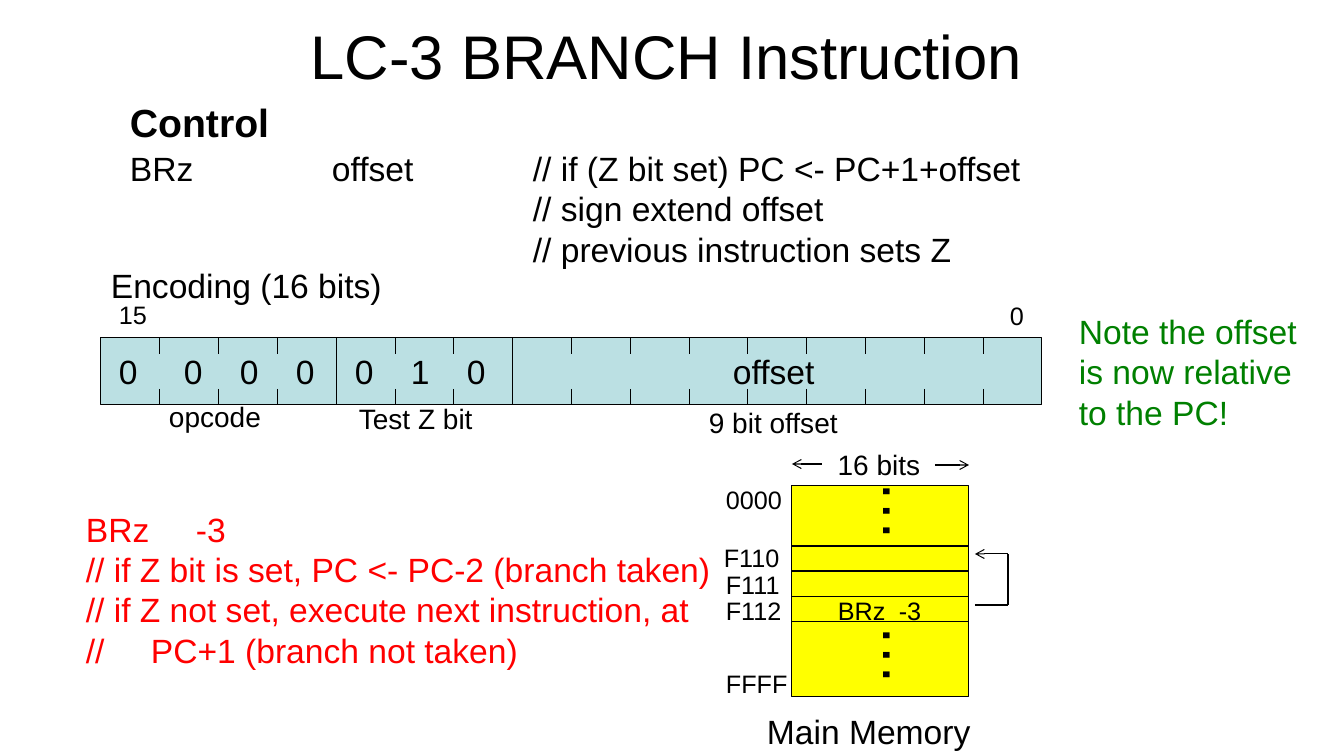
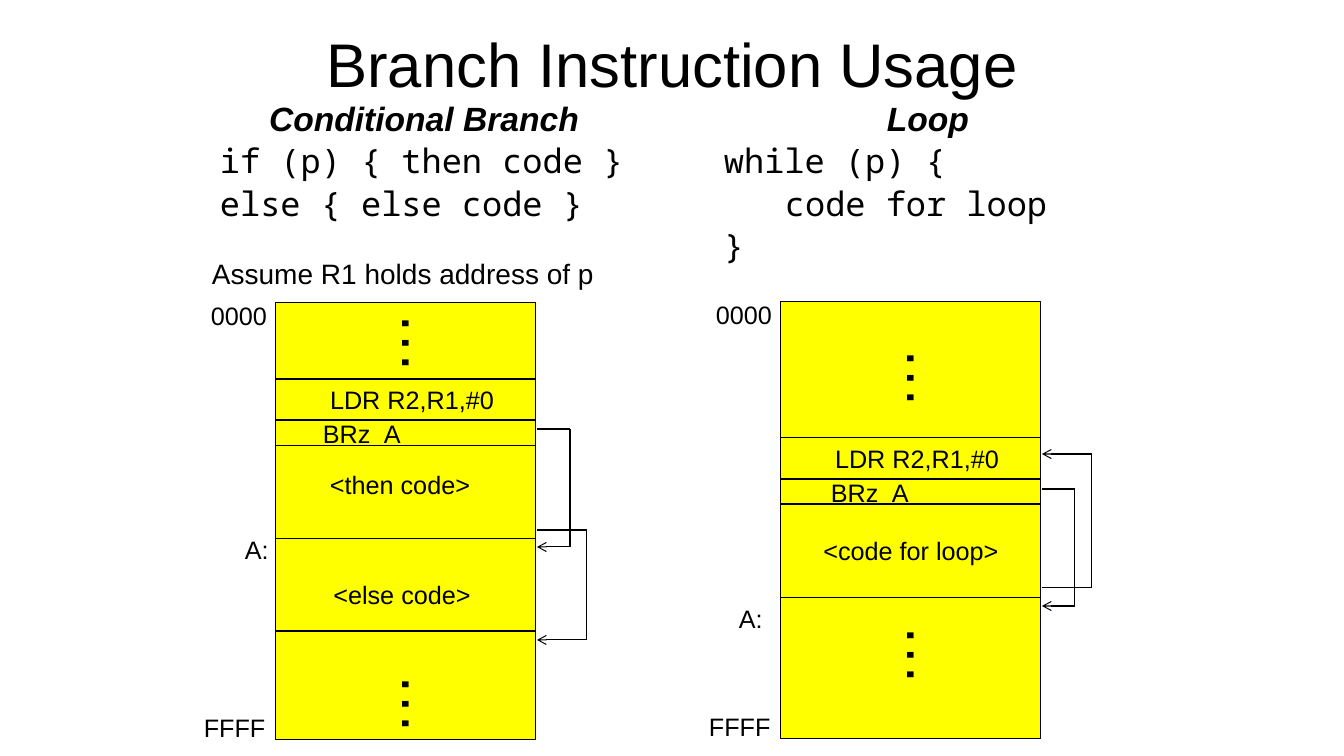
"""Build two slides on the LC-3 branch instruction and its usage."""
from dataclasses import dataclass
from typing import Optional

from lxml.etree import SubElement
from pptx import Presentation
from pptx.dml.color import RGBColor
from pptx.enum.shapes import MSO_CONNECTOR as Connector, MSO_SHAPE as Shape
from pptx.enum.text import MSO_ANCHOR as Anchor, MSO_AUTO_SIZE as AutoSize, PP_ALIGN as Align
from pptx.oxml.ns import qn
from pptx.slide import Slide
from pptx.text.text import TextFrame
from pptx.util import Emu, Pt

EMU_PER_PIXEL = 914400 / 100.8
BLACK, RED, GREEN = "000000", "FF0000", "008000"
YELLOW, TEAL = "FFFF00", "BBE0E3"
SANS, MONO = "Arial", "Noto Sans Mono"


@dataclass(frozen=True)
class Box:
    """A rectangle in pixels."""
    left: int
    top: int
    width: int
    height: int


@dataclass(frozen=True)
class Label:
    """A short text and the box it sits in."""
    text: str
    box: Box
    size: int = 18
    align: Align = Align.LEFT
    wrap: bool = False
    tabs: tuple[int, ...] = ()
    spacing: Optional[float] = None
    bold: bool = False
    color: str = BLACK


@dataclass(frozen=True)
class Jump:
    """A three-part arrow that leaves a memory row and returns at another."""
    edge: int
    reach: int
    start: int
    end: int


@dataclass(frozen=True)
class Memory:
    """A memory block with row rules, vertical dots, labels and jumps."""
    box: Box
    rules: tuple[int, ...]
    dots_left: int
    dots_tops: tuple[int, ...]
    labels: tuple[Label, ...]
    jumps: tuple[Jump, ...]


@dataclass(frozen=True)
class CodeColumn:
    """A heading above lines of code, each with its indent in pixels."""
    box: Box
    heading: str
    lines: tuple[tuple[str, int], ...]


def px(value: float) -> Emu:
    """Turn pixels into EMU."""
    return Emu(round(value * EMU_PER_PIXEL))


def rgb(value: str) -> RGBColor:
    """Turn a hex string into a colour."""
    return RGBColor.from_string(value)


def place(box: Box) -> tuple[Emu, Emu, Emu, Emu]:
    """Give a box as EMU lengths."""
    return px(box.left), px(box.top), px(box.width), px(box.height)


def write(frame: TextFrame, text: str, *, size: int = 18, font: str = SANS,
          color: str = BLACK, bold: bool = False, italic: bool = False,
          align: Align = Align.LEFT, before: float = 0, spacing: Optional[float] = None,
          indent: int = 0, tabs: tuple[int, ...] = (), first: bool = True) -> None:
    """Write one formatted paragraph, the first one or a further one."""
    para = frame.paragraphs[0] if first else frame.add_paragraph()
    para.alignment = align
    para.space_before = Pt(before)
    if spacing:
        para.line_spacing = spacing
    properties = para._p.get_or_add_pPr()
    if indent:
        properties.set("marL", str(px(indent)))
    if tabs:
        stops = SubElement(properties, qn("a:tabLst"))
        for position in tabs:
            SubElement(stops, qn("a:tab"), pos=str(px(position)), algn="l")
    span = para.add_run()
    span.text = text
    span.font.name, span.font.size = font, Pt(size)
    span.font.bold, span.font.italic = bold, italic
    span.font.color.rgb = rgb(color)


def add_frame(page: Slide, box: Box, *, wrap: bool = True, rotation: int = 0) -> TextFrame:
    """Add an empty text box and return its frame."""
    holder = page.shapes.add_textbox(*place(box))
    holder.rotation = rotation
    frame = holder.text_frame
    frame.word_wrap = wrap
    frame.auto_size = AutoSize.SHAPE_TO_FIT_TEXT
    return frame


def add_label(page: Slide, label: Label) -> None:
    """Draw a label, one paragraph for each line."""
    frame = add_frame(page, label.box, wrap=label.wrap)
    for index, line in enumerate(label.text.split("\n")):
        write(frame, line, size=label.size, align=label.align, tabs=label.tabs, bold=label.bold,
              spacing=label.spacing, color=label.color, first=index == 0)


def add_line(page: Slide, start: tuple[float, float], end: tuple[float, float],
             arrow: bool = False) -> None:
    """Draw a thin black line, with an arrowhead at its end if asked."""
    line = page.shapes.add_connector(Connector.STRAIGHT, *map(px, start + end))
    line.line.color.rgb = rgb(BLACK)
    line.line.width = Pt(0.75)
    if arrow:
        SubElement(line.line._get_or_add_ln(), qn("a:tailEnd"), type="arrow")
    SubElement(line._element.spPr, qn("a:effectLst"))


def add_block(page: Slide, box: Box, fill: str) -> None:
    """Draw a filled rectangle with a thin black outline."""
    block = page.shapes.add_shape(Shape.RECTANGLE, *place(box))
    block.shadow.inherit = False
    block.fill.solid()
    block.fill.fore_color.rgb = rgb(fill)
    block.line.color.rgb = rgb(BLACK)
    block.line.width = Pt(0.75)


def add_register(page: Slide, box: Box, bits: int, dividers: tuple[int, ...], tick: int) -> None:
    """Draw an instruction word with bit ticks and full field dividers."""
    add_block(page, box, TEAL)
    bottom = box.top + box.height
    for bit in range(1, bits):
        x = box.left + box.width * bit / bits
        if bit in dividers:
            add_line(page, (x, box.top), (x, bottom))
        else:
            add_line(page, (x, box.top), (x, box.top + tick))
            add_line(page, (x, bottom - tick), (x, bottom))


def add_jump(page: Slide, jump: Jump) -> None:
    """Draw the out, along and back parts of a jump."""
    add_line(page, (jump.edge, jump.start), (jump.reach, jump.start))
    add_line(page, (jump.reach, jump.start), (jump.reach, jump.end))
    add_line(page, (jump.reach, jump.end), (jump.edge, jump.end), arrow=True)


def add_memory(page: Slide, memory: Memory) -> None:
    """Draw a memory block and all that belongs to it."""
    box = memory.box
    add_block(page, box, YELLOW)
    for y in memory.rules:
        add_line(page, (box.left, y), (box.left + box.width, y))
    for top in memory.dots_tops:
        frame = add_frame(page, Box(memory.dots_left, top, 83, 85), wrap=False, rotation=90)
        write(frame, "…", size=44)
    for label in memory.labels:
        add_label(page, label)
    for jump in memory.jumps:
        add_jump(page, jump)


def add_code(page: Slide, column: CodeColumn) -> None:
    """Draw a heading with code lines under it."""
    frame = add_frame(page, column.box)
    frame.auto_size = AutoSize.NONE
    write(frame, column.heading, size=24, bold=True, italic=True, align=Align.CENTER, before=1.5)
    for line, indent in column.lines:
        write(frame, line, size=24, font=MONO, indent=indent, before=1.5, first=False)


def add_page(deck: Presentation, title: str, box: Box) -> Slide:
    """Add a title-only slide with its title in place."""
    page = deck.slides.add_slide(deck.slide_layouts[5])
    holder = page.shapes.title
    holder.left, holder.top, holder.width, holder.height = place(box)
    frame = holder.text_frame
    frame.word_wrap = True
    frame.auto_size = AutoSize.NONE
    frame.vertical_anchor = Anchor.MIDDLE
    write(frame, title, size=44, align=Align.CENTER)
    return page


def row(text: str, left: int, top: int, width: int) -> Label:
    """Make a centred label for a memory row."""
    return Label(text, Box(left, top, width, 40), align=Align.CENTER, wrap=True)


def address(text: str, left: int, top: int, width: int = 77) -> Label:
    """Make a label beside a memory block."""
    return Label(text, Box(left, top, width, 40))


def branch(text: str, left: int, top: int) -> Label:
    """Make a label for a branch instruction with its operand at a tab."""
    return Label(text, Box(left, top, 122, 40), wrap=True, tabs=(61,))


ENCODING_LABELS = (
    Label("Control", Box(120, 93, 161, 57), 28, bold=True),
    Label("BRz\toffset\t// if (Z bit set) PC <- PC+1+offset\n"
          "\t\t// sign extend offset\n\t\t// previous instruction sets Z",
          Box(120, 143, 913, 132), 24, wrap=True, tabs=(202, 403)),
    Label("0\t0\t0\t0", Box(109, 346, 230, 50), 24, wrap=True, tabs=(65, 121, 177)),
    Label("0\t1\t0", Box(345, 346, 165, 50), 24, wrap=True, tabs=(56, 112)),
    Label("offset", Box(723, 346, 104, 50), 24),
    Label("Encoding (16 bits)", Box(101, 260, 293, 50), 24),
    Label("opcode", Box(159, 395, 113, 44), 20),
    Label("Test Z bit", Box(349, 397, 135, 44), 20),
    Label("9 bit offset", Box(699, 401, 150, 44), 20),
    Label("16 bits", Box(827, 449, 104, 38), 20, Align.CENTER, spacing=0.8),
    Label("Main Memory", Box(757, 706, 226, 50), 24),
    Label("0", Box(1000, 295, 34, 40)),
    Label("15", Box(109, 294, 48, 40)),
    Label("BRz\t-3", Box(76, 504, 649, 50), 24, wrap=True, tabs=(110,), color=RED),
    Label("// if Z bit is set, PC <- PC-2 (branch taken)\n"
          "// if Z not set, execute next instruction, at\n//\tPC+1 (branch not taken)",
          Box(76, 544, 649, 132), 24, wrap=True, tabs=(65,), color=RED),
    Label("Note the offset is now relative to the PC!", Box(1069, 306, 244, 132), 24,
          wrap=True, color=GREEN),
)
MAIN_MEMORY = Memory(
    Box(792, 486, 177, 211), (546, 571, 597, 622), 866, (470, 614),
    (address("0000", 716, 479), address("F110", 714, 537), address("F111", 716, 564, 75),
     address("F112", 716, 590), address("FFFF", 716, 663, 83), branch("BRz\t-3", 828, 590)),
    (Jump(975, 1008, 605, 554),))
CONDITIONAL_MEMORY = Memory(
    Box(276, 303, 260, 437), (379, 420, 446, 539, 631), 385, (302, 663),
    (address("0000", 201, 295), address("A:", 235, 529, 44), address("FFFF", 194, 707, 83),
     row("LDR R2,R1,#0", 280, 379, 264), branch("BRz\tA", 313, 413),
     row("<then code>", 307, 464, 186), row("<else code>", 309, 574, 186)),
    (Jump(537, 570, 429, 547), Jump(537, 587, 530, 640)))
LOOP_MEMORY = Memory(
    Box(781, 302, 260, 437), (438, 479, 504, 598), 890, (337, 614),
    (address("0000", 706, 294), address("A:", 729, 598, 44), address("FFFF", 699, 706, 83),
     row("LDR R2,R1,#0", 785, 438, 264), branch("BRz\tA", 821, 472),
     row("<code for loop>", 806, 530, 210)),
    (Jump(1042, 1075, 489, 606), Jump(1042, 1092, 588, 454)))
CODE_COLUMNS = (
    CodeColumn(Box(210, 93, 428, 184), "Conditional Branch",
               (("if (p) { then code }", 0), ("else { else code }", 0))),
    CodeColumn(Box(714, 93, 428, 184), "Loop",
               (("while (p) {", 0), ("code for loop", 61), ("}", 0))),
)


def main() -> None:
    """Build the deck and save it."""
    deck = Presentation()
    deck.slide_width, deck.slide_height = px(1344), px(756)

    page = add_page(deck, "LC-3 BRANCH Instruction", Box(184, -8, 966, 126))
    add_register(page, Box(101, 338, 941, 67), 16, (4, 7), 16)
    add_memory(page, MAIN_MEMORY)
    for label in ENCODING_LABELS:
        add_label(page, label)
    add_line(page, (935, 465), (969, 465), arrow=True)
    add_line(page, (822, 464), (792, 464), arrow=True)

    page = add_page(deck, "Branch Instruction Usage", Box(244, 0, 857, 126))
    for column in CODE_COLUMNS:
        add_code(page, column)
    for memory in (CONDITIONAL_MEMORY, LOOP_MEMORY):
        add_memory(page, memory)
    add_label(page, Label("Assume R1 holds address of p", Box(202, 252, 405, 44), 20))

    deck.save("out.pptx")


main()
